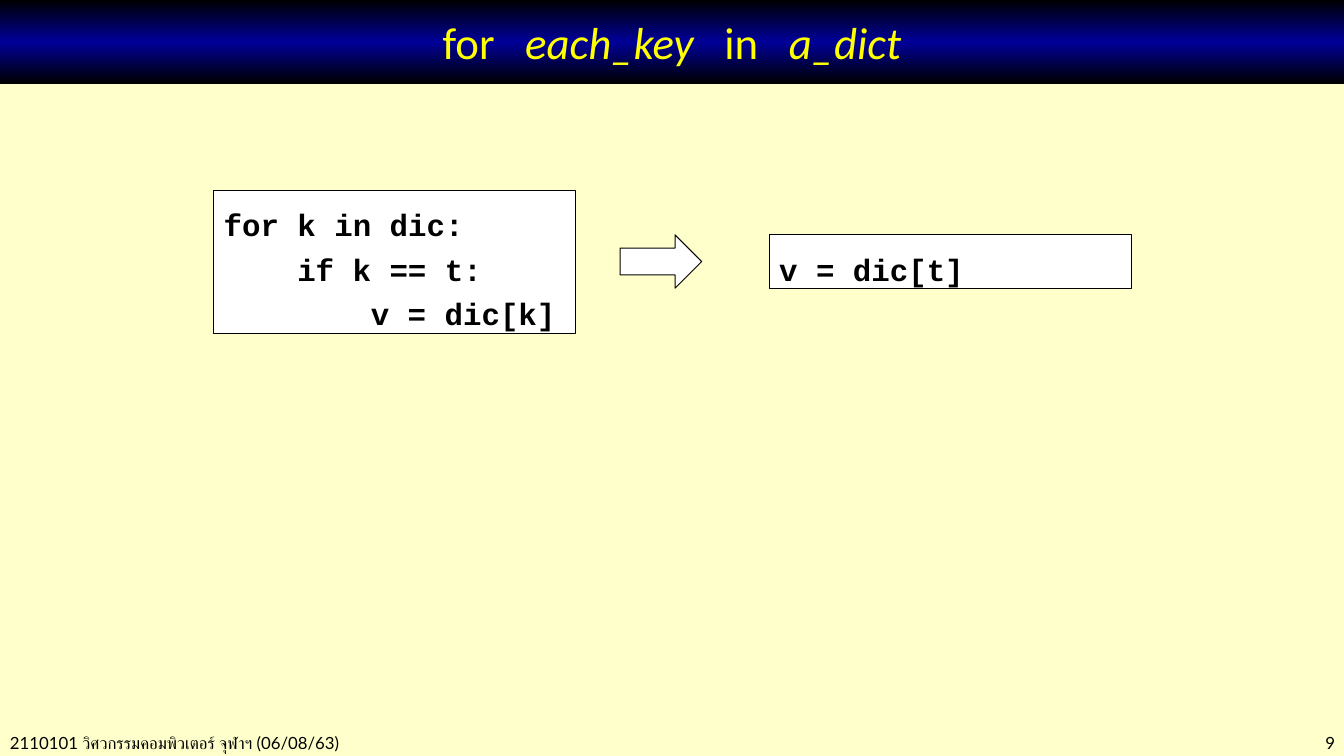
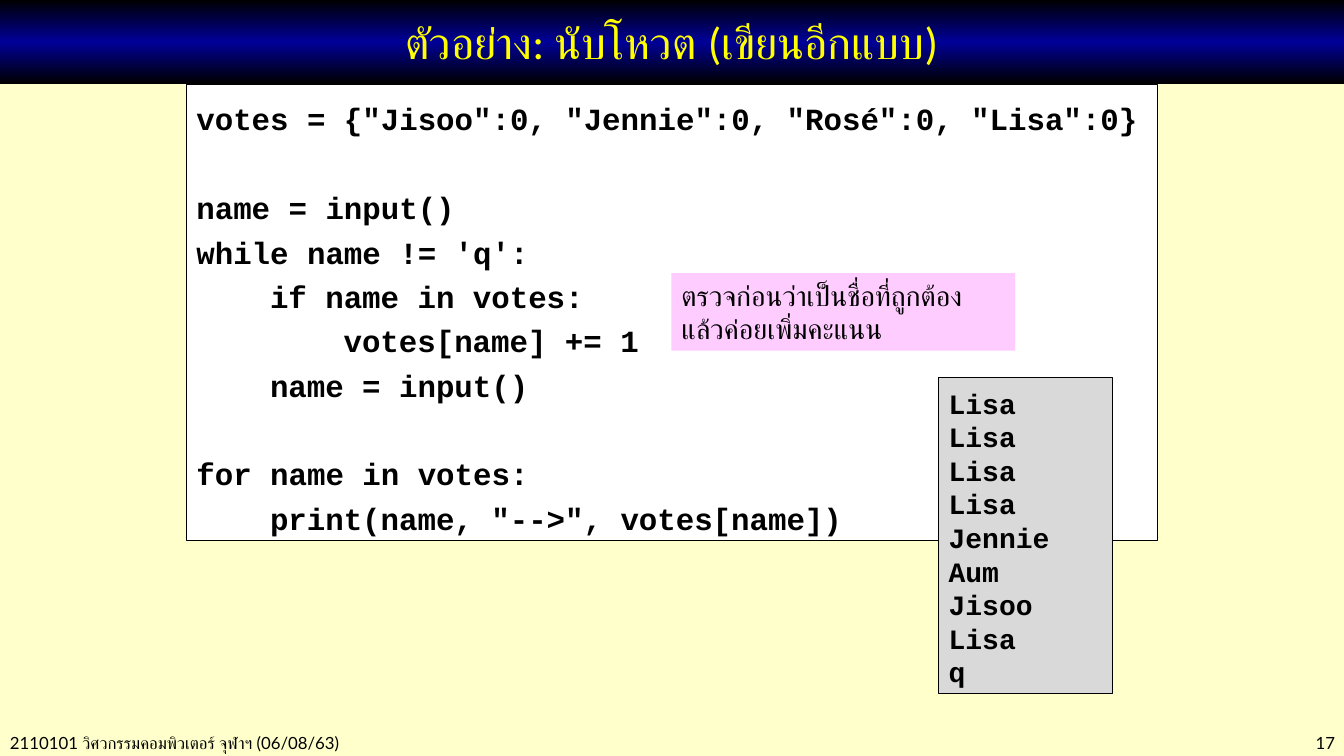
import copy
from dataclasses import dataclass

import pptx
import pptx.dml.color
import pptx.enum.shapes
import pptx.enum.text
import pptx.oxml.ns
import pptx.util

Inches = pptx.util.Inches
Pt = pptx.util.Pt
Align = pptx.enum.text.PP_ALIGN
Anchor = pptx.enum.text.MSO_ANCHOR
Preset = pptx.enum.shapes.MSO_SHAPE


@dataclass(frozen=True)
class Theme:
    background: str = "FFFFCC"
    band_edge: str = "000000"
    band_middle: str = "000099"
    title: str = "FFFF00"
    ink: str = "000000"
    paper: str = "FFFFFF"
    note: str = "FFCCFF"
    output: str = "D9D9D9"
    title_font: str = "Calibri"
    body_font: str = "Lato"
    code_font: str = "Courier New"
    title_size: int = 32
    code_size: int = 22
    code_pitch: float = 31.7
    output_size: int = 20
    output_pitch: float = 24
    note_size: int = 20
    footer_size: int = 12
    line_width: float = 0.75
    title_gap: float = 14.5
    code_indent: float = 0.73
    code_inset: float = 0.08
    width: float = 13.33
    height: float = 7.5
    band_height: float = 0.83
    footer: str = "2110101 วิศวกรรมคอมพิวเตอร์ จุฬาฯ (06/08/63)"


def rgb(value):
    return pptx.dml.color.RGBColor.from_string(value)


class Deck:
    """Holds the theme and the current slide, and draws each kind of element."""

    def __init__(self, theme):
        self.theme = theme
        self.presentation = pptx.Presentation()
        self.presentation.slide_width = Inches(theme.width)
        self.presentation.slide_height = Inches(theme.height)
        self.slide = None

    def add_slide(self, number, title):
        self.slide = self.presentation.slides.add_slide(self.presentation.slide_layouts[6])
        fill = self.slide.background.fill
        fill.solid()
        fill.fore_color.rgb = rgb(self.theme.background)
        self.footer(0, 5.2, self.theme.footer, Align.LEFT)
        self.footer(11.5, 1.84, str(number), Align.RIGHT)
        self.title(title)

    def format(self, run, font, size, color, bold=False, italic=False):
        run.font.name = font
        run.font.size = Pt(size)
        run.font.color.rgb = rgb(color)
        run.font.bold = bold
        run.font.italic = italic

    def footer(self, left, width, text, alignment):
        box = self.slide.shapes.add_textbox(Inches(left), Inches(7.22), Inches(width), Inches(0.3))
        box.text_frame.word_wrap = True
        paragraph = box.text_frame.paragraphs[0]
        paragraph.text = text
        paragraph.alignment = alignment
        self.format(paragraph.runs[0], self.theme.body_font, self.theme.footer_size, self.theme.ink)

    def shape(self, preset, at, fill=None, outlined=True):
        shape = self.slide.shapes.add_shape(preset, *map(Inches, at))
        shape.shadow.inherit = False
        if fill:
            shape.fill.solid()
            shape.fill.fore_color.rgb = rgb(fill)
        if outlined:
            shape.line.color.rgb = rgb(self.theme.ink)
            shape.line.width = Pt(self.theme.line_width)
        else:
            shape.line.fill.background()
        shape.text_frame.word_wrap = True
        shape.text_frame.vertical_anchor = Anchor.TOP
        return shape

    def title(self, words):
        theme = self.theme
        band = self.shape(Preset.RECTANGLE, (0, 0, theme.width, theme.band_height), outlined=False)
        band.fill.gradient()
        band.fill.gradient_angle = 270
        stop_list = band._element.spPr.find(".//" + pptx.oxml.ns.qn("a:gsLst"))
        stop_list.append(copy.deepcopy(stop_list[0]))
        colors = (theme.band_edge, theme.band_middle, theme.band_edge)
        for stop, color, position in zip(band.fill.gradient_stops, colors, (0, 0.5, 1)):
            stop.color.rgb = rgb(color)
            stop.position = position
        band.text_frame.vertical_anchor = Anchor.MIDDLE
        paragraph = band.text_frame.paragraphs[0]
        paragraph.alignment = Align.CENTER
        for index, (text, italic) in enumerate(words):
            if index:
                gap = self.title_run(paragraph, " ", False)
                gap._r.get_or_add_rPr().set("spc", str(int(theme.title_gap * 100)))
            self.title_run(paragraph, text, italic)

    def title_run(self, paragraph, text, italic):
        run = paragraph.add_run()
        run.text = text
        self.format(run, self.theme.title_font, self.theme.title_size, self.theme.title, italic=italic)
        return run

    def listing(self, at, fill, size, pitch, blocks):
        shape = self.shape(Preset.RECTANGLE, at, fill)
        frame = shape.text_frame
        frame.margin_top = Inches(self.theme.code_inset)
        lines = [
            (level, text, block_index > 0 and line_index == 0)
            for block_index, block in enumerate(blocks)
            for line_index, (level, text) in enumerate(block)
        ]
        frame.text = "\n".join(text for _, text, _ in lines)
        for paragraph, (level, _, starts_block) in zip(frame.paragraphs, lines):
            paragraph.alignment = Align.LEFT
            paragraph.line_spacing = Pt(pitch)
            if starts_block:
                paragraph.space_before = Pt(pitch)
            properties = paragraph._p.get_or_add_pPr()
            properties.set("marL", str(Inches(level * self.theme.code_indent)))
            properties.set("indent", "0")
            self.format(paragraph.runs[0], self.theme.code_font, size, self.theme.ink, bold=True)

    def code(self, at, *blocks):
        theme = self.theme
        self.listing(at, theme.paper, theme.code_size, theme.code_pitch, blocks)

    def output(self, at, words):
        theme = self.theme
        block = [(0, word) for word in words]
        self.listing(at, theme.output, theme.output_size, theme.output_pitch, [block])

    def note(self, at, text):
        shape = self.shape(Preset.RECTANGLE, at, self.theme.note, outlined=False)
        paragraph = shape.text_frame.paragraphs[0]
        paragraph.text = text
        paragraph.alignment = Align.LEFT
        self.format(paragraph.runs[0], self.theme.body_font, self.theme.note_size, self.theme.ink)

    def arrow(self, at):
        self.shape(Preset.RIGHT_ARROW, at, self.theme.paper)


def main():
    deck = Deck(Theme())

    deck.add_slide(9, [("for", False), ("each_key", True), ("in", False), ("a_dict", True)])
    deck.code(
        (2.12, 1.89, 3.59, 1.42),
        [(0, "for k in dic:"), (1, "if k == t:"), (2, "v = dic[k]")],
    )
    deck.code((7.63, 2.33, 3.59, 0.53), [(0, "v = dic[t]")])
    deck.arrow((6.15, 2.33, 0.81, 0.53))

    deck.add_slide(17, [("ตัวอย่าง: นับโหวต (เขียนอีกแบบ)", False)])
    deck.code(
        (1.85, 0.84, 9.63, 4.52),
        [(0, 'votes = {"Jisoo":0, "Jennie":0, "Rosé":0, "Lisa":0}')],
        [
            (0, "name = input()"),
            (0, "while name != 'q':"),
            (1, "if name in votes:"),
            (2, "votes[name] += 1"),
            (1, "name = input()"),
        ],
        [(0, "for name in votes:"), (1, 'print(name, "-->", votes[name])')],
    )
    deck.note((6.66, 2.71, 3.41, 0.77), "ตรวจก่อนว่าเป็นชื่อที่ถูกต้อง แล้วค่อยเพิ่มคะแนน")
    deck.output(
        (9.31, 3.75, 1.72, 3.13),
        ["Lisa"] * 4 + ["Jennie", "Aum", "Jisoo", "Lisa", "q"],
    )

    deck.presentation.save("out.pptx")


if __name__ == "__main__":
    main()
